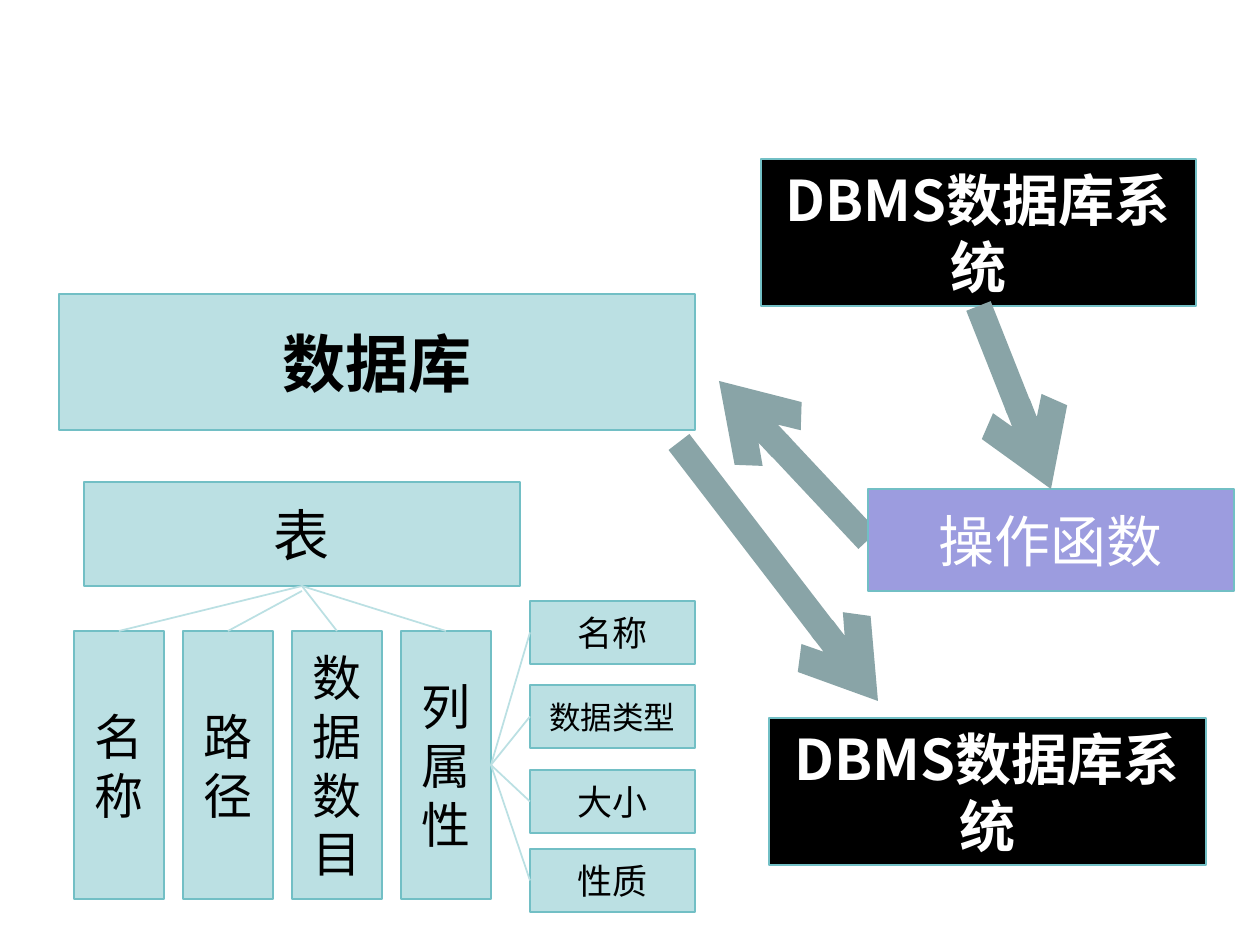
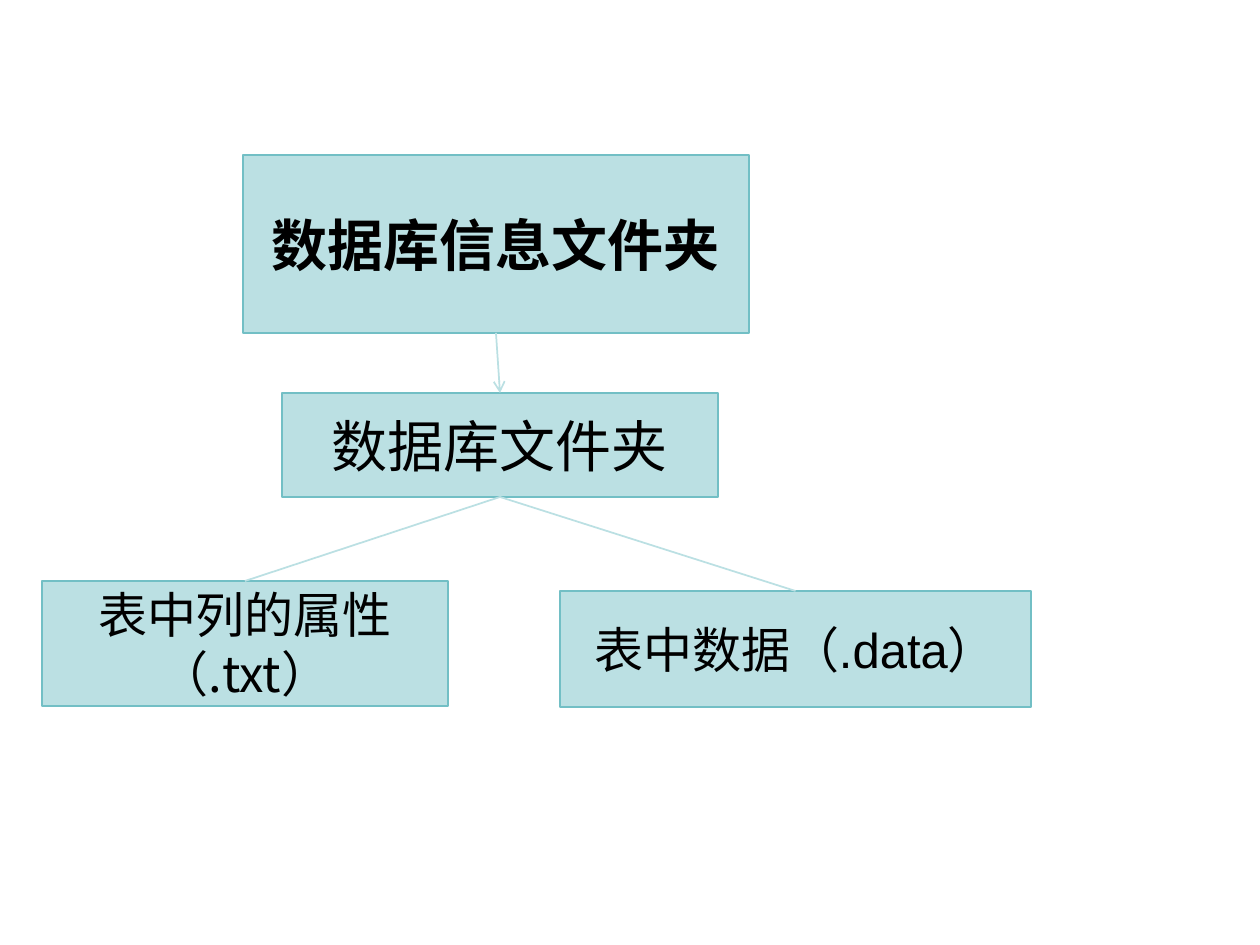
from lxml import etree
from pptx import Presentation
from pptx.dml.color import RGBColor
from pptx.enum.shapes import MSO_CONNECTOR as Connector, MSO_SHAPE as Shape
from pptx.enum.text import MSO_ANCHOR as Anchor, PP_ALIGN as Align
from pptx.oxml.ns import qn
from pptx.util import Pt

PX = 914400 / 126
COLORS = {"pale": "BBE0E3", "edge": "72BFC5", "arrow": "89A4A7",
          "violet": "9C9CDF", "black": "000000", "white": "FFFFFF"}
RGB = {name: RGBColor.from_string(value) for name, value in COLORS.items()}
LATIN, CJK = "Arial", "Noto Sans CJK SC"
TOP, LEFT, BOTTOM, RIGHT = range(4)


def add_box(page, rect, text, size, fill="pale", color="black", bold=False, font=LATIN):
    box = page.shapes.add_shape(Shape.RECTANGLE, *(round(v * PX) for v in rect))
    box.shadow.inherit = False
    box.fill.solid()
    box.fill.fore_color.rgb = RGB[fill]
    box.line.color.rgb = RGB["edge"]
    box.line.width = Pt(1)
    box.text_frame.word_wrap = True
    box.text_frame.vertical_anchor = Anchor.MIDDLE
    para = box.text_frame.paragraphs[0]
    para.alignment = Align.CENTER
    span = para.add_run()
    span.text = text
    for name, value in {"size": Pt(size), "bold": bold, "name": font}.items():
        setattr(span.font, name, value)
    span.font.color.rgb = RGB[color]
    etree.SubElement(span.font._element, qn("a:ea")).set("typeface", CJK)
    return box


def add_link(page, start, end, color="pale", width=1, arrow=False):
    """Each end is an (x, y) point in px or a (box, side) pair."""
    points = [(0, 0) if hasattr(p[0], "shape_id") else p for p in (start, end)]
    link = page.shapes.add_connector(
        Connector.STRAIGHT, *(round(v * PX) for point in points for v in point))
    for target, join in ((start, link.begin_connect), (end, link.end_connect)):
        if hasattr(target[0], "shape_id"):
            join(*target)
    link.line.color.rgb = RGB[color]
    link.line.width = Pt(width)
    if arrow:
        etree.SubElement(link.line._get_or_add_ln(), qn("a:tailEnd")).set("type", "arrow")
    etree.SubElement(link._element.spPr, qn("a:effectLst"))
    return link


deck = Presentation()
deck.slide_width, deck.slide_height = round(1260 * PX), round(945 * PX)
blank = deck.slide_layouts[6]
thick = {"color": "arrow", "width": 15, "arrow": True}

# Slide 1: database structure
page = deck.slides.add_slide(blank)
add_box(page, (59, 294, 636, 136), "数据库", 36, bold=True)
table = add_box(page, (84, 482, 436, 104), "表", 32)

# Parts of a table, in equal columns
columns = [add_box(page, (74 + 109 * i, 631, 90, 268), text, 28)
           for i, text in enumerate(("名称", "路径", "数据数目", "列属性"))]

# Column attributes
attributes = [add_box(page, (530, y, 165, 63), text, size)
              for y, text, size in ((601, "名称", 20), (685, "数据类型", 18),
                                    (770, "大小", 20), (849, "性质", 20))]

# Tree lines; the one to the path column starts just below the table
for i, column in enumerate(columns):
    add_link(page, (302, 591) if i == 1 else (table, BOTTOM), (column, TOP))
for attribute in attributes:
    add_link(page, (columns[-1], RIGHT), (attribute, LEFT))

# Operation functions, with the arrow to the database behind the box
operation = add_box(page, (868, 489, 366, 102), "操作函数", 32, "violet", "white")
to_database = add_link(page, (operation, LEFT), (719, 381), **thick)
operation._element.addprevious(to_database._element)

# Database systems and data flow
add_link(page, (679, 442), (878, 701), **thick)
result, source = [
    add_box(page, rect, "DBMS数据库系统", 32, "black", "white", True, CJK)
    for rect in ((769, 718, 437, 147), (761, 159, 435, 147))]
add_link(page, (source, BOTTOM), (operation, TOP), **thick)

# Slide 2: folder layout
page = deck.slides.add_slide(blank)
folder = add_box(page, (282, 393, 436, 104), "数据库文件夹", 32)
info_folder = add_box(page, (243, 155, 506, 178), "数据库信息文件夹", 32, bold=True)
files = [add_box(page, (42, 581, 406, 125), "表中列的属性（.txt）", 28, font=CJK),
         add_box(page, (560, 591, 471, 116), "表中数据（.data）", 28)]
for file in files:
    add_link(page, (folder, BOTTOM), (file, TOP))
add_link(page, (info_folder, BOTTOM), (folder, TOP), arrow=True)

deck.save("out.pptx")
